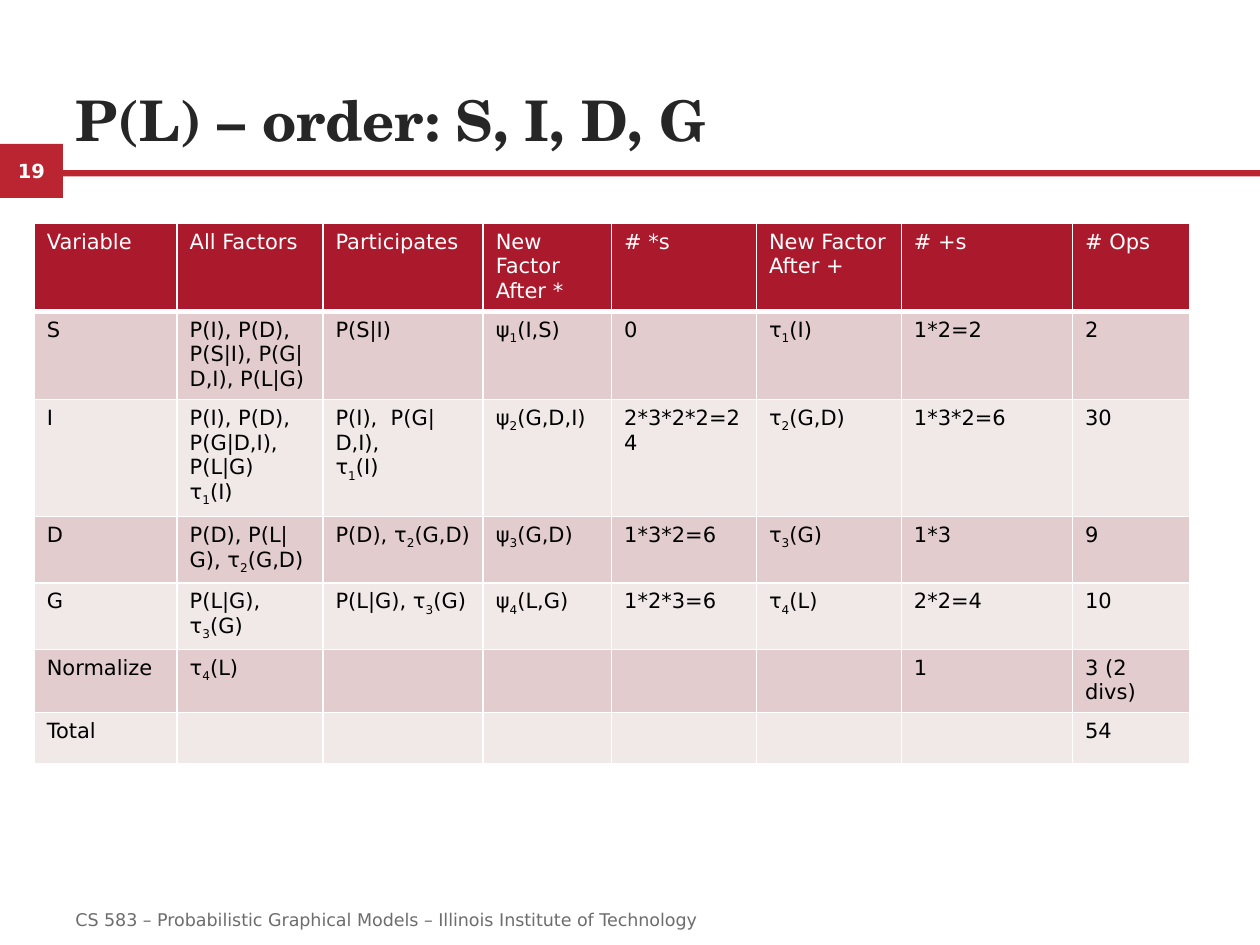
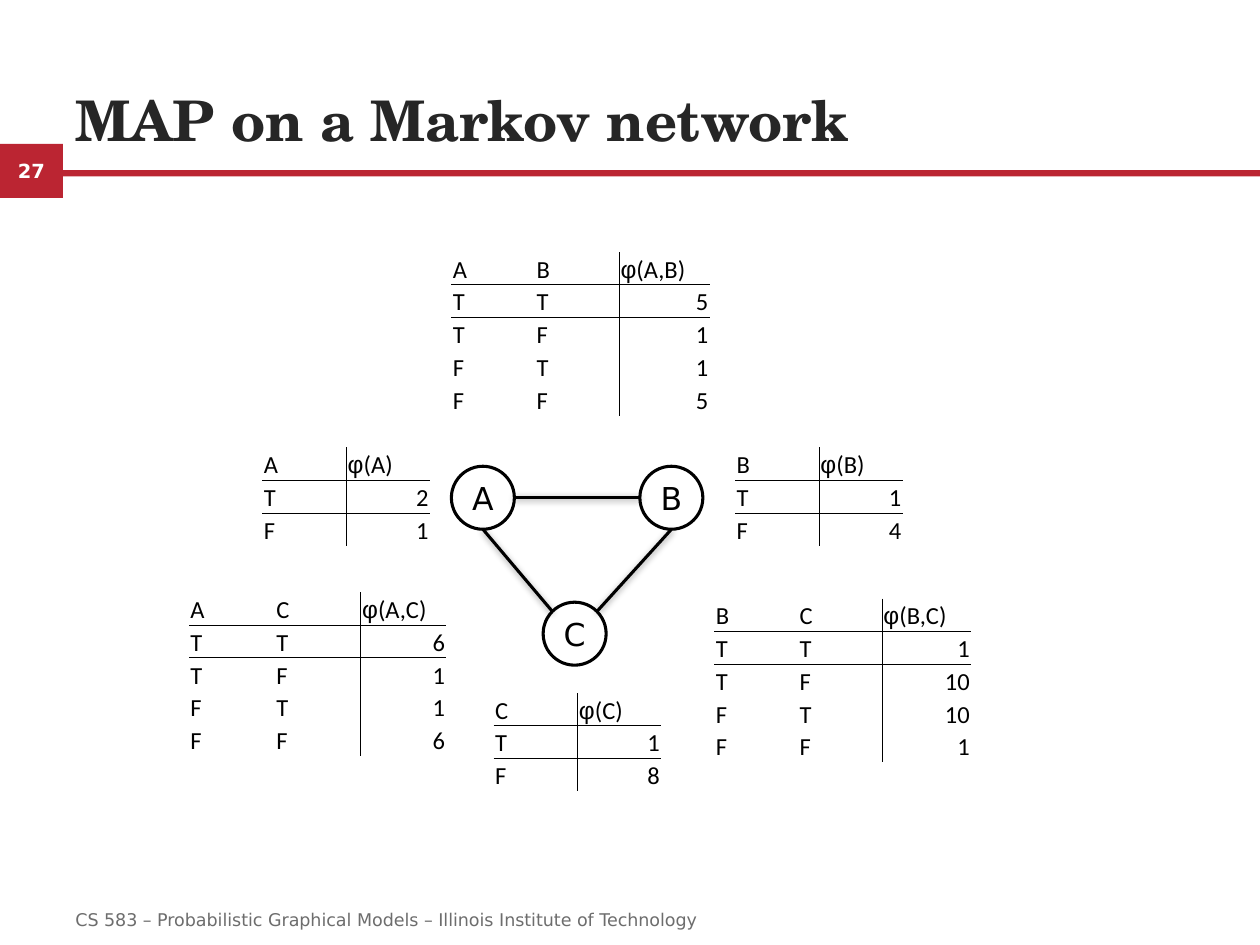
"""Build two slides on variable elimination and MAP in a Markov network."""
import itertools
import math

import lxml.etree
import pptx
import pptx.dml.color
import pptx.enum.shapes
import pptx.enum.text
import pptx.oxml.ns
import pptx.util

Cm = pptx.util.Cm
Pt = pptx.util.Pt
Anchor = pptx.enum.text.MSO_ANCHOR
Align = pptx.enum.text.PP_ALIGN
Shape = pptx.enum.shapes.MSO_SHAPE
qn = pptx.oxml.ns.qn

FOOT = "CS 583 – Probabilistic Graphical Models – Illinois Institute of Technology"
ORDER = {"title": "P(L) – order: S, I, D, G", "page": 19}
MARKOV = {"title": "MAP on a Markov network", "page": 27}

STEPS = [
    ("Variable", "All Factors", "Participates", "New Factor After *", "# *s",
     "New Factor After +", "# +s", "# Ops"),
    ("S", "P(I), P(D), P(S|I), P(G|D,I), P(L|G)", "P(S|I)", "ψ_1(I,S)", "0",
     "τ_1(I)", "1*2=2", "2"),
    ("I", "P(I), P(D),  P(G|D,I), P(L|G)\nτ_1(I)", "P(I),  P(G|D,I),\nτ_1(I)",
     "ψ_2(G,D,I)", "2*3*2*2=24", "τ_2(G,D)", "1*3*2=6", "30"),
    ("D", "P(D), P(L|G), τ_2(G,D)", "P(D), τ_2(G,D)", "ψ_3(G,D)", "1*3*2=6",
     "τ_3(G)", "1*3", "9"),
    ("G", "P(L|G), τ_3(G)", "P(L|G), τ_3(G)", "ψ_4(L,G)", "1*2*3=6",
     "τ_4(L)", "2*2=4", "10"),
    ("Normalize", "τ_4(L)", "", "", "", "", "1", "3 (2 divs)"),
    ("Total", "", "", "", "", "", "", "54"),
]
WIDTHS = [2.88, 2.94, 3.23, 2.59, 2.92, 2.92, 3.45, 2.36]

FACTORS = [
    ("A", (2, 1), (5.29, 9.02), (1.69, 1.69)),
    ("B", (1, 4), (14.82, 9.02), (1.69, 1.69)),
    ("C", (1, 8), (9.95, 13.97), (1.69, 1.69)),
    ("AB", (5, 1, 1, 5), (9.1, 5.08), (1.69, 1.69, 1.83)),
    ("BC", (1, 10, 10, 1), (14.4, 12.07), (1.69, 1.69, 1.8)),
    ("AC", (6, 1, 1, 6), (3.81, 11.94), (1.73, 1.73, 1.73)),
]
NODES = {"A": (9.1, 9.4), "C": (10.95, 12.14), "B": (12.9, 9.4)}
EDGES = [("A", 0, "B", 180), ("C", -45, "B", 90), ("A", 90, "C", -135)]
SIZE = 1.27


class Theme:
    """Hold the colours, fonts and sizes of the deck."""
    red, head, dark, light = "BB2532", "AB192D", "E2CCCD", "F1E8E8"
    white, black = "FFFFFF", "000000"
    line = Pt(1.75)
    greek = "Arial"
    plain = "{2D5ABB26-0587-4C30-8999-92F81FD0307C}"
    title = ({"name": "TeX Gyre Schola", "size": Pt(32), "bold": True}, "262626")
    page = ({"name": "DejaVu Sans", "size": Pt(11.1), "bold": True}, white)
    foot = ({"name": "DejaVu Sans", "size": Pt(10)}, "6D6D6D")
    label = ({"name": "DejaVu Sans", "size": Pt(12)}, white)
    body = ({"name": "DejaVu Sans", "size": Pt(12)}, black)
    node = ({"name": "DejaVu Sans", "size": Pt(18)}, black)
    factor = ({"name": "Calibri", "size": Pt(14)}, black)
    tight = {"margin_left": Cm(0.03), "margin_right": Cm(0.03),
             "margin_top": Cm(0.03), "margin_bottom": 0,
             "vertical_anchor": Anchor.BOTTOM}
    bare = {"margin_left": 0, "margin_right": 0, "margin_top": 0,
            "margin_bottom": 0, "vertical_anchor": Anchor.MIDDLE}


def put(item, values):
    for name, value in values.items():
        setattr(item, name, value)


def rgb(code):
    return pptx.dml.color.RGBColor.from_string(code)


def split(line):
    head, *tail = line.split("_")
    if head.startswith("φ"):
        yield "φ", {"name": Theme.greek}, False
        head = head[1:]
    yield head, {}, False
    for part in tail:
        yield part[0], {}, True
        yield part[1:], {}, False


def write(frame, text, style, align=Align.LEFT):
    look, code = style
    for spot, line in enumerate(text.split("\n")):
        para = frame.add_paragraph() if spot else frame.paragraphs[0]
        para.alignment = align
        for part, extra, low in split(line):
            if not part:
                continue
            run = para.add_run()
            run.text = part
            put(run.font, {**look, **extra})
            run.font.color.rgb = rgb(code)
            if low:
                run.font._element.set("baseline", "-25000")


def add_box(shapes, kind, box, fill):
    shape = shapes.add_shape(kind, *map(Cm, box))
    shape.shadow.inherit = False
    shape.fill.solid()
    shape.fill.fore_color.rgb = rgb(fill)
    shape.line.fill.background()
    return shape


def add_text(slide, box, text, style, anchor):
    frame = slide.shapes.add_textbox(*map(Cm, box)).text_frame
    put(frame, {"word_wrap": True, "vertical_anchor": anchor})
    write(frame, text, style)


def add_page(deck, title, page):
    slide = deck.slides.add_slide(deck.slide_layouts[6])
    tab = add_box(slide.shapes, Shape.RECTANGLE, (0, 2.9, 1.27, 1.09), Theme.red)
    put(tab.text_frame, Theme.bare)
    write(tab.text_frame, str(page), Theme.page, Align.CENTER)
    add_box(slide.shapes, Shape.RECTANGLE, (1.27, 3.43, 24.13, 0.13), Theme.red)
    add_text(slide, (1.27, 0.97, 22.86, 2.23), title, Theme.title, Anchor.BOTTOM)
    add_text(slide, (1.27, 18.03, 20.75, 1.02), FOOT, Theme.foot, Anchor.MIDDLE)
    return slide


def add_grid(slide, rows, place, widths, high):
    box = (*place, sum(widths), high * len(rows))
    frame = slide.shapes.add_table(len(rows), len(widths), *map(Cm, box))
    grid = frame.table
    put(grid, {"first_row": False, "horz_banding": False})
    grid._tbl.tblPr.find(qn("a:tableStyleId")).text = Theme.plain
    for col, width in zip(grid.columns, widths):
        col.width = Cm(width)
    for row in grid.rows:
        row.height = Cm(high)
    return frame


def add_edge(cell, sides, code):
    props = cell._tc.get_or_add_tcPr()
    for side in "LRTB":
        if side in sides:
            width = str(Pt(sides[side]))
            line = lxml.etree.SubElement(props, qn("a:ln" + side), w=width)
            fill = lxml.etree.SubElement(line, qn("a:solidFill"))
            lxml.etree.SubElement(fill, qn("a:srgbClr"), val=code)


def add_steps(slide):
    frame = add_grid(slide, STEPS, (0.69, 4.5), WIDTHS, 1.03)
    frame.height = Cm(11.71)
    for row, texts in enumerate(STEPS):
        fill = (Theme.dark if row % 2 else Theme.light) if row else Theme.head
        for col, text in enumerate(texts):
            cell = frame.table.cell(row, col)
            add_edge(cell, {"L": 1, "R": 1, "T": 1, "B": 1 if row else 3}, Theme.white)
            cell.fill.solid()
            cell.fill.fore_color.rgb = rgb(fill)
            write(cell.text_frame, text, Theme.body if row else Theme.label)


def add_factor(slide, names, values, place, widths):
    cases = itertools.product("TF", repeat=len(names))
    rows = [(*names, f"φ({','.join(names)})")]
    rows += [(*case, str(value)) for case, value in zip(cases, values)]
    grid = add_grid(slide, rows, place, widths, 0.66).table
    last = len(names)
    for row, texts in enumerate(rows):
        for col, text in enumerate(texts):
            cell = grid.cell(row, col)
            put(cell, Theme.tight)
            tests = {"L": col == last, "R": col == last - 1, "T": row == 1, "B": row == 0}
            add_edge(cell, {side: 0.5 for side in tests if tests[side]}, Theme.black)
            cell.fill.background()
            align = Align.RIGHT if row and col == last else Align.LEFT
            write(cell.text_frame, text, Theme.factor, align)


def add_shade(line):
    effect = lxml.etree.SubElement(line._element.spPr, qn("a:effectLst"))
    shade = lxml.etree.SubElement(effect, qn("a:outerShdw"), blurRad=str(Pt(4)),
                                  dist=str(Pt(1)), dir="5280000", rotWithShape="0")
    color = lxml.etree.SubElement(shade, qn("a:srgbClr"), val=Theme.black)
    lxml.etree.SubElement(color, qn("a:alpha"), val="40000")


def find_rim(name, angle):
    turn = math.radians(angle)
    left, top = NODES[name]
    half = SIZE / 2
    return Cm(left + half + half * math.cos(turn)), Cm(top + half + half * math.sin(turn))


def add_graph(slide):
    shapes = slide.shapes.add_group_shape().shapes
    for name, place in NODES.items():
        node = add_box(shapes, Shape.OVAL, (*place, SIZE, SIZE), Theme.white)
        node.line.color.rgb = rgb(Theme.black)
        node.line.width = Theme.line
        put(node.text_frame, {**Theme.bare, "word_wrap": False})
        write(node.text_frame, name, Theme.node, Align.CENTER)
    kind = pptx.enum.shapes.MSO_CONNECTOR.STRAIGHT
    for start, out, end, into in EDGES:
        line = shapes.add_connector(kind, *find_rim(start, out), *find_rim(end, into))
        line.line.color.rgb = rgb(Theme.black)
        line.line.width = Theme.line
        add_shade(line)


def main():
    deck = pptx.Presentation()
    put(deck, {"slide_width": Cm(25.4), "slide_height": Cm(19.05)})
    add_steps(add_page(deck, **ORDER))
    slide = add_page(deck, **MARKOV)
    add_graph(slide)
    for factor in FACTORS:
        add_factor(slide, *factor)
    deck.save("out.pptx")


if __name__ == "__main__":
    main()
